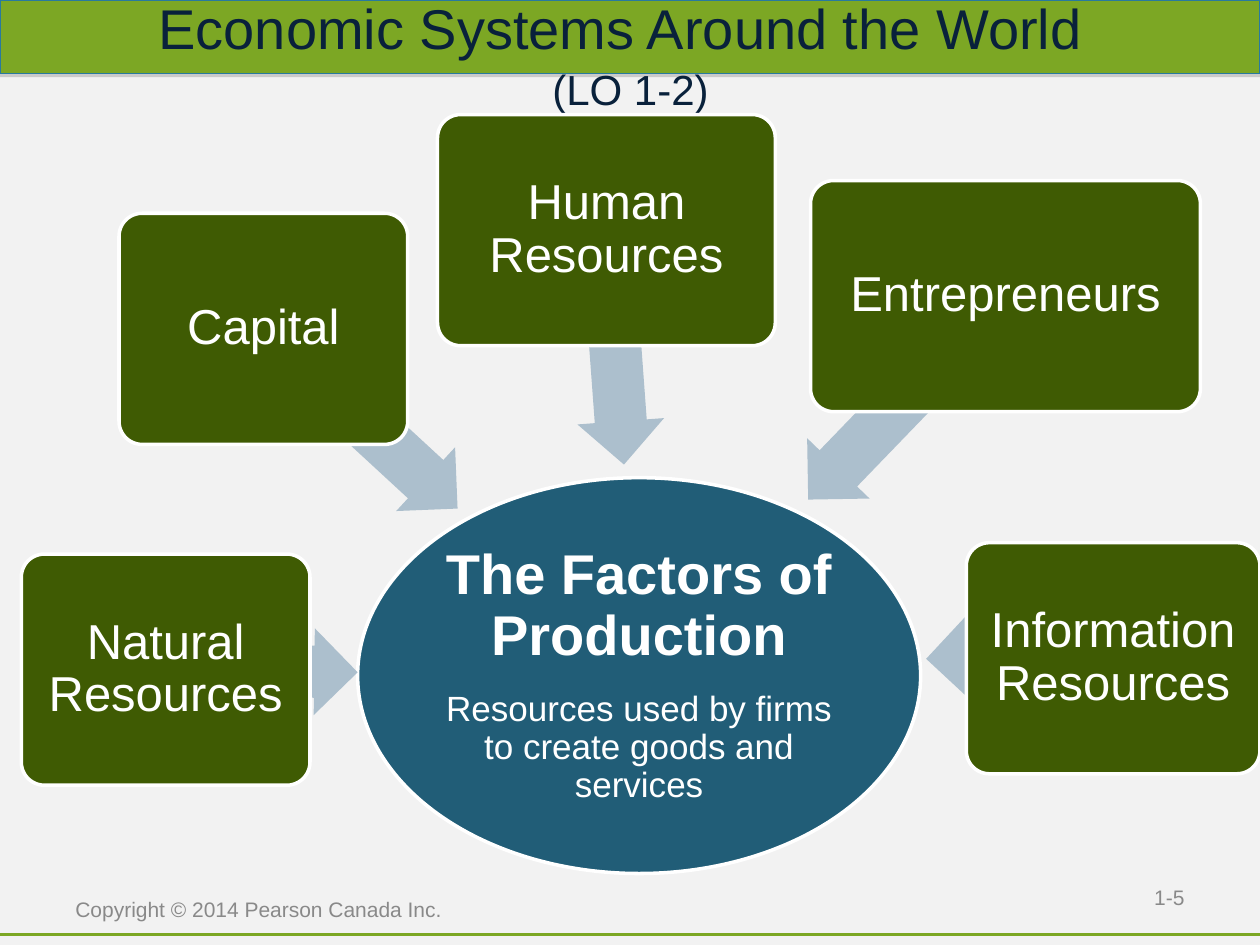
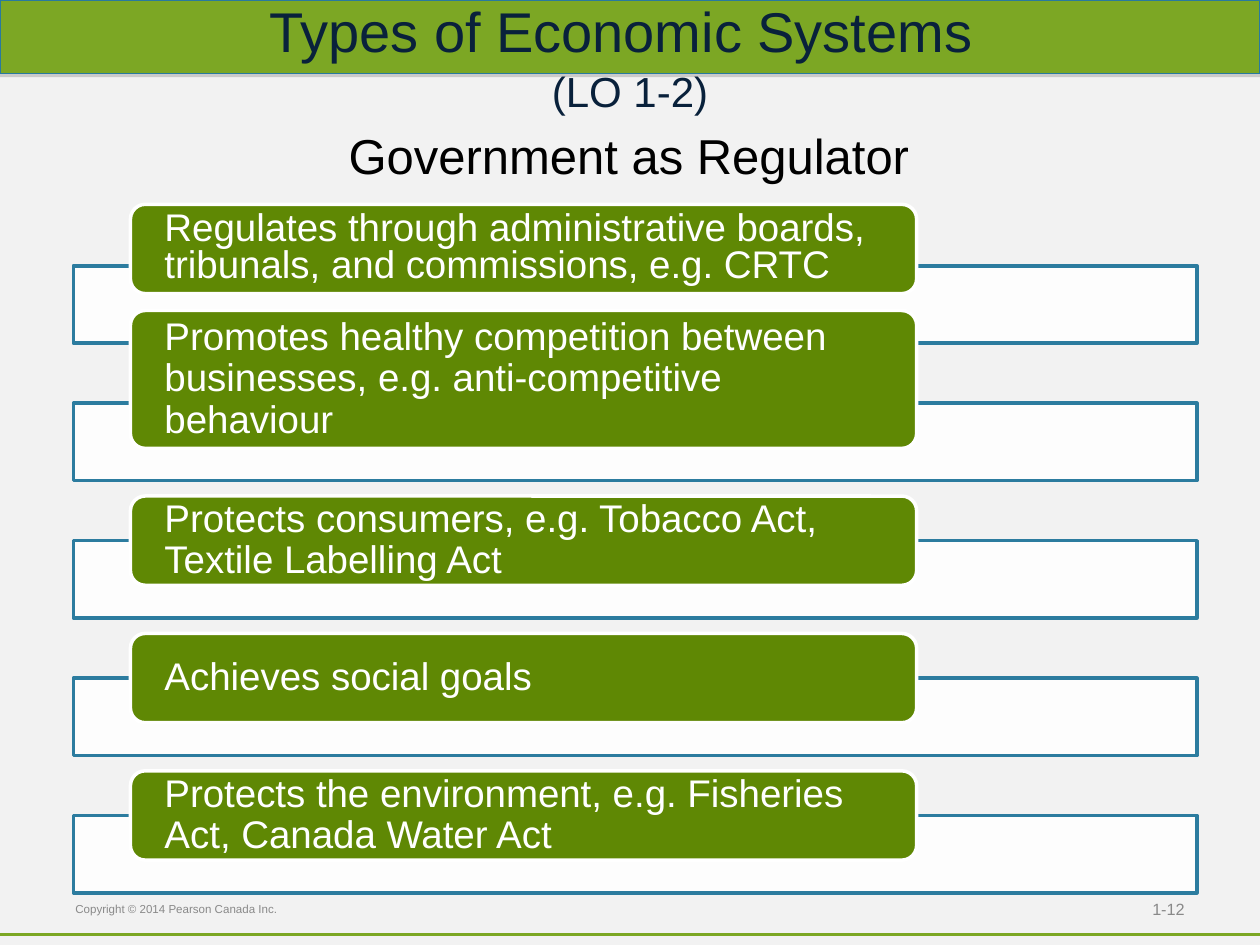
"""Builds two slides on the factors of production and on government as regulator."""
from copy import deepcopy

from lxml.etree import SubElement
from pptx import Presentation
from pptx.dml.color import RGBColor
from pptx.enum.shapes import MSO_CONNECTOR, MSO_SHAPE
from pptx.enum.text import MSO_ANCHOR, MSO_AUTO_SIZE, PP_ALIGN
from pptx.oxml.ns import qn
from pptx.util import Cm, Pt

COLORS = {
    "page": "F2F2F2",
    "band": "7CA724",
    "band_edge": "287A9E",
    "shadow": "808080",
    "title": "09213B",
    "footer": "898989",
    "black": "000000",
    "white": "FFFFFF",
    "hub": "215D77",
    "resource": "3F5B03",
    "arrow": "ACBFCD",
    "role": "5F8804",
    "frame_edge": "2C7C9F",
}


def apply(target, values):
    for name, value in values.items():
        if name == "color":
            target.color.rgb = RGBColor.from_string(COLORS[value])
        else:
            setattr(target, name, value)


def add_block(slide, kind, box, fill=None, edge=None, edge_width=2, frame=None, texts=()):
    lengths = [Cm(value) for value in box]
    if kind is None:
        block = slide.shapes.add_textbox(*lengths)
    else:
        block = slide.shapes.add_shape(kind, *lengths)
        block.shadow.inherit = False
        block.fill.solid()
        block.fill.fore_color.rgb = RGBColor.from_string(COLORS[fill])
        if edge:
            block.line.color.rgb = RGBColor.from_string(COLORS[edge])
            block.line.width = Pt(edge_width)
        else:
            block.line.fill.background()
    apply(block.text_frame, {"word_wrap": True, **(frame or {})})
    for index, (text, paragraph_format, font_format) in enumerate(texts):
        paragraph = block.text_frame.paragraphs[0] if index == 0 else block.text_frame.add_paragraph()
        apply(paragraph, paragraph_format)
        run = paragraph.add_run()
        run.text = text
        apply(run.font, {"name": "Arial", **font_format})
    return block


MIDDLE = {"vertical_anchor": MSO_ANCHOR.MIDDLE}
TITLE_FRAME = {
    **MIDDLE,
    "word_wrap": True,
    "auto_size": MSO_AUTO_SIZE.NONE,
    **{f"margin_{side}": Cm(0.64) for side in ("left", "top", "right", "bottom")},
}
HUB_FRAME = {**MIDDLE, **{f"margin_{side}": Cm(0.05) for side in ("left", "top", "right", "bottom")}}
RESOURCE_FRAME = {**MIDDLE, **{f"margin_{side}": Cm(0.14) for side in ("left", "top", "right", "bottom")}}
ROLE_FRAME = {**MIDDLE, "margin_left": Cm(0.6), "margin_right": Cm(0.6), "margin_top": 0, "margin_bottom": 0}

presentation = Presentation()
apply(presentation, {"slide_width": Cm(25.4), "slide_height": Cm(19.05)})

pages = [
    {
        "title": "Economic Systems Around the World",
        "title_box": (1.7, 0, 22.02, 1.9),
        "gap_size": 40,
        "copyright_box": (1.27, 17.58, 8.05, 1.48),
        "copyright_size": 12,
        "number": "1-5",
        "number_box": (18.21, 17.58, 5.92, 1.02),
        "number_size": 12,
    },
    {
        "title": "Types of Economic Systems",
        "title_box": (0, 0, 25.4, 2.12),
        "gap_size": 36,
        "copyright_box": (1.27, 18.03, 8.46, 0.58),
        "copyright_size": 6.6,
        "number": "1-12",
        "number_box": (18.21, 17.98, 5.92, 0.69),
        "number_size": 9.3,
    },
]

slides = []
for page in pages:
    slide = presentation.slides.add_slide(presentation.slide_layouts[5])
    slides.append(slide)
    slide.background.fill.solid()
    slide.background.fill.fore_color.rgb = RGBColor.from_string(COLORS["page"])

    base_rule = slide.shapes.add_connector(MSO_CONNECTOR.STRAIGHT, 0, Cm(18.84), Cm(25.4), Cm(18.84))
    apply(base_rule.line, {"color": "band", "width": Pt(2)})
    SubElement(base_rule.element.spPr, qn("a:effectLst"))

    band = add_block(slide, MSO_SHAPE.RECTANGLE, (0, 0, 25.4, 1.48), "band", "band_edge", 0.75)
    band_effects = band.element.spPr.find(qn("a:effectLst"))
    band_shadow = SubElement(band_effects, qn("a:outerShdw"), blurRad="0", dist=str(Pt(1.8)), dir="5400000")
    shadow_color = SubElement(band_shadow, qn("a:srgbClr"), val=COLORS["shadow"])
    SubElement(shadow_color, qn("a:alpha"), val="35000")

    title = slide.shapes.title
    title.element.getparent().append(title.element)
    apply(title, dict(zip(("left", "top", "width", "height"), map(Cm, page["title_box"]))))
    apply(title.text_frame, TITLE_FRAME)
    heading = title.text_frame.paragraphs[0]
    heading.alignment = PP_ALIGN.CENTER
    for text, size in ((page["title"], 32), (" ", page["gap_size"]), ("(LO 1-2)", 24)):
        run = heading.add_run()
        run.text = text
        apply(run.font, {"name": "Arial", "size": Pt(size), "color": "title"})
        if text == " ":
            heading.add_line_break()
            heading._p.find(qn("a:br")).append(deepcopy(run._r.rPr))

    footers = (
        ("Copyright © 2014 Pearson Canada Inc.", "copyright", PP_ALIGN.LEFT),
        (page["number"], "number", PP_ALIGN.RIGHT),
    )
    for text, part, alignment in footers:
        footer_font = {"size": Pt(page[f"{part}_size"]), "color": "footer"}
        add_block(slide, None, page[f"{part}_box"], frame=MIDDLE,
                  texts=[(text, {"alignment": alignment}, footer_font)])

factors_slide, regulator_slide = slides

centred = {"alignment": PP_ALIGN.CENTER, "line_spacing": 0.9}
add_block(
    factors_slide, MSO_SHAPE.OVAL, (7.21, 9.63, 11.35, 7.98), "hub", "white", frame=HUB_FRAME,
    texts=[
        ("The Factors of Production", {**centred, "space_after": Pt(14)},
         {"size": Pt(32), "bold": True, "color": "white"}),
        ("Resources used by firms to create goods and services", {**centred, "space_after": Pt(8.8)},
         {"size": Pt(20), "bold": False, "color": "white"}),
    ],
)

resource_height = 4.66
resources = [
    ("Natural Resources", (0.43, 11.17, 5.82), (3.15, 12.65, 4.06), 180.8),
    ("Capital", (2.4, 4.3, 5.82), (4.6, 7.57, 5.33), 222.7),
    ("Human Resources", (8.82, 2.31, 6.81), (10.03, 6.12, 4.75), 265.8),
    ("Entrepreneurs", (16.34, 3.64, 7.86), (15.42, 7.14, 5.72), 314),
    ("Information Resources", (19.48, 10.94, 5.92), (18.67, 12.34, 3.68), 357.9),
]
for resource, resource_box, arrow_box, angle in resources:
    arrow = add_block(factors_slide, MSO_SHAPE.LEFT_ARROW, (*arrow_box, 1.75), "arrow")
    arrow.rotation = angle
    arrow.adjustments[0] = 0.6
    arrow.adjustments[1] = 0.5
    resource_card = add_block(
        factors_slide, MSO_SHAPE.ROUNDED_RECTANGLE, (*resource_box, resource_height), "resource", "white",
        frame=RESOURCE_FRAME,
        texts=[(resource, {**centred, "space_after": Pt(12.2)}, {"size": Pt(28), "color": "white"})],
    )
    resource_card.adjustments[0] = 0.1

add_block(
    regulator_slide, None, (6.78, 2.4, 12.5, 1.7),
    texts=[("Government as Regulator", {}, {"size": Pt(28), "color": "black"})],
)

first_frame_top, frame_step = 5.36, 2.77
roles = [
    ("Regulates through administrative boards, tribunals, and commissions, e.g. CRTC", 1.24, 1.8, 0.8),
    ("Promotes healthy competition between businesses, e.g. anti-competitive behaviour", 1.87, 2.78, 0.9),
    ("Protects consumers, e.g. Tobacco Act, Textile Labelling Act", 0.9, 1.8, 0.9),
    ("Achieves social goals", 0.9, 1.8, 0.9),
    ("Protects the environment, e.g. Fisheries Act, Canada Water Act", 0.9, 1.8, 0.9),
]
for index, (role, lift, role_height, spacing) in enumerate(roles):
    frame_top = first_frame_top + index * frame_step
    role_frame = add_block(
        regulator_slide, MSO_SHAPE.RECTANGLE, (1.48, frame_top, 22.65, 1.56), "white", "frame_edge")
    frame_color = role_frame.element.spPr.find(qn("a:solidFill")).find(qn("a:srgbClr"))
    SubElement(frame_color, qn("a:alpha"), val="90000")
    role_format = {"alignment": PP_ALIGN.LEFT, "line_spacing": spacing, "space_after": Pt(9.6)}
    role_card = add_block(
        regulator_slide, MSO_SHAPE.ROUNDED_RECTANGLE, (2.63, frame_top - lift, 15.85, role_height),
        "role", "white", frame=ROLE_FRAME,
        texts=[(role, role_format, {"size": Pt(22), "color": "white"})],
    )
    role_card.adjustments[0] = 0.3 / role_height

presentation.save("out.pptx")
